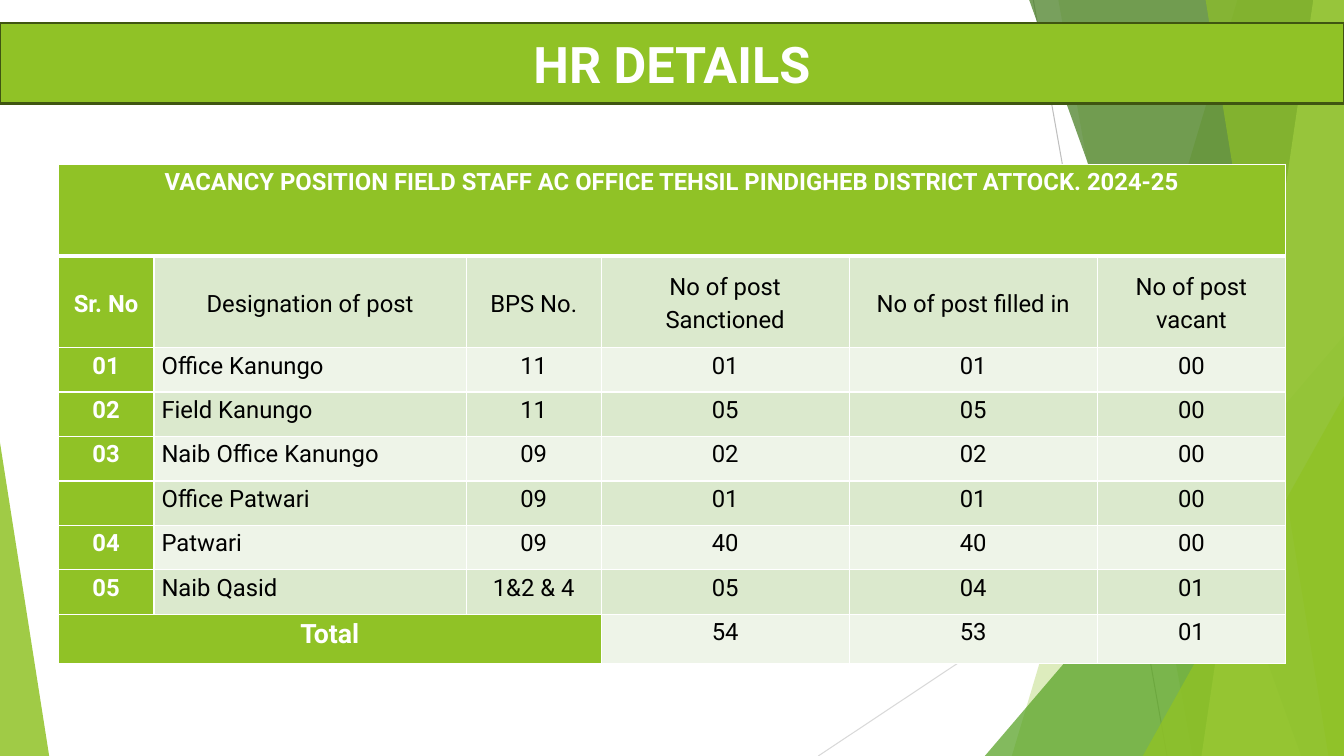
from lxml.etree import SubElement
from pptx import Presentation
from pptx.dml.color import RGBColor
from pptx.enum.shapes import MSO_CONNECTOR, MSO_SHAPE
from pptx.enum.text import MSO_ANCHOR as Anchor, MSO_AUTO_SIZE, PP_ALIGN as Align
from pptx.oxml import parse_xml
from pptx.oxml.ns import nsdecls, qn
from pptx.util import Cm, Pt

COLORS = {
    "green": "90C226", "leaf": "54A021", "forest": "3F7819", "lime": "C0E474",
    "outline": "3F5511", "band": "DBE9CD", "pale_band": "EEF4E8",
    "ray": "BFBFBF", "pale_ray": "D9D9D9", "white": "FFFFFF", "black": "000000",
}
FONT = "Roboto"
SLIDE_W, SLIDE_H = 33.87, 19.05

COLUMN_WIDTHS = [2.41, 7.87, 3.4, 6.25, 6.25, 4.75]
ROW_HEIGHTS = [2.31, 2.31] + [1.12] * 6 + [1.24]
HEADING = "VACANCY POSITION FIELD STAFF AC OFFICE TEHSIL PINDIGHEB DISTRICT ATTOCK. 2024-25"
VACANCIES = [
    [HEADING, "", "", "", "", ""],
    ["Sr. No", "Designation of post", "BPS No.", "No of post Sanctioned",
     "No of post filled in", "No of post vacant"],
    ["01", "Office Kanungo", "11", "01", "01", "00"],
    ["02", "Field Kanungo", "11", "05", "05", "00"],
    ["03", "Naib Office Kanungo", "09", "02", "02", "00"],
    ["", "Office Patwari", "09", "01", "01", "00"],
    ["04", "Patwari", "09", "40", "40", "00"],
    ["05", "Naib Qasid", "1&2 & 4", "05", "04", "01"],
    ["Total", "", "", "54", "53", "01"],
]
TOTAL_ROW = len(VACANCIES) - 1


def rgb(color):
    return RGBColor.from_string(COLORS[color])


def write(frame, text, size=17, color="black", bold=False, align=Align.CENTER,
          spacing=1.0, after=0):
    paragraph = frame.paragraphs[0]
    paragraph.alignment = align
    paragraph.line_spacing = spacing
    paragraph.space_before = Pt(0)
    paragraph.space_after = Pt(after)
    run = paragraph.add_run()
    run.text = text
    run.font.name = FONT
    run.font.size = Pt(size)
    run.font.bold = bold
    run.font.color.rgb = rgb(color)


def tint(shape, color, opacity):
    """Fill a shape with a see-through colour; opacity is in percent."""
    shape.shadow.inherit = False
    shape.fill.solid()
    shape.fill.fore_color.rgb = rgb(color)
    fill_color = shape._element.spPr.find(f".//{qn('a:srgbClr')}")
    SubElement(fill_color, qn("a:alpha")).set("val", str(opacity * 1000))
    shape.line.fill.background()


def add_ray(shapes, x1, y1, x2, y2, color):
    ray = shapes.add_connector(MSO_CONNECTOR.STRAIGHT, Cm(x1), Cm(y1), Cm(x2), Cm(y2))
    ray.line.color.rgb = rgb(color)
    ray.line.width = Pt(0.75)
    SubElement(ray._element.spPr, qn("a:effectLst"))


def add_panel(shapes, top_x, bottom_x, color, opacity):
    """Add a full-height panel with a slanted left edge, flush with the right side."""
    outline = shapes.build_freeform(Cm(top_x), Cm(-0.02))
    corners = [(SLIDE_W, -0.02), (SLIDE_W, SLIDE_H), (bottom_x, SLIDE_H)]
    outline.add_line_segments([(Cm(x), Cm(y)) for x, y in corners])
    tint(outline.convert_to_shape(), color, opacity)


def add_corner(shapes, left, top, width, apex, color, opacity):
    """Add a right triangle that stands on the bottom edge."""
    corner = shapes.add_shape(MSO_SHAPE.ISOSCELES_TRIANGLE, Cm(left), Cm(top),
                              Cm(width), Cm(SLIDE_H - top))
    corner.adjustments[0] = apex
    tint(corner, color, opacity)


def add_backdrop(shapes):
    add_ray(shapes, 26.04, 0, 29.41, SLIDE_H, "ray")
    add_ray(shapes, SLIDE_W, 10.24, 20.62, SLIDE_H, "pale_ray")
    add_panel(shapes, 31.19, 25.5, "green", 30)
    add_panel(shapes, 26.67, 30.05, "green", 20)
    add_corner(shapes, 24.82, 8.46, 9.05, 1, "leaf", 72)
    add_panel(shapes, 25.93, 32.79, "forest", 70)
    add_panel(shapes, 33.1, 30.28, "lime", 70)
    add_panel(shapes, 30.38, 33.48, "green", 65)
    add_corner(shapes, 28.8, 9.98, 5.07, 1, "green", 80)
    add_corner(shapes, 0, 11.15, 1.24, 0, "green", 85)


def place_title(shapes):
    """Turn the title placeholder into a banner in front of the backdrop."""
    title = shapes.title
    title.left, title.top, title.width, title.height = Cm(0), Cm(0.58), Cm(SLIDE_W), Cm(2.03)
    title.fill.solid()
    title.fill.fore_color.rgb = rgb("green")
    title.line.color.rgb = rgb("outline")
    title.line.width = Pt(1.5)
    title.text_frame.auto_size = MSO_AUTO_SIZE.NONE
    title.text_frame.vertical_anchor = Anchor.MIDDLE
    write(title.text_frame, "HR DETAILS", size=36, color="white", bold=True)
    shapes._spTree.append(title._element)


def set_borders(cell, **widths):
    properties = cell._tc.get_or_add_tcPr()
    for index, side in enumerate("LRTB"):
        width = Pt(widths.get(side, 1))
        properties.insert(index, parse_xml(
            f'<a:ln{side} {nsdecls("a")} w="{width}"><a:solidFill>'
            f'<a:srgbClr val="{COLORS["white"]}"/></a:solidFill></a:ln{side}>'))


def format_cell(cell, row, column, text):
    is_label = row == 0 or column == 0 or (row == TOTAL_ROW and column < 3)
    band = "band" if row % 2 else "pale_band"
    cell.fill.solid()
    cell.fill.fore_color.rgb = rgb("green" if is_label else band)
    set_borders(cell, T=3 if row == 1 else 1, B=3 if row == 0 else 1)
    cell.margin_left = cell.margin_right = Cm(0.19)
    cell.margin_top = cell.margin_bottom = 0
    cell.vertical_anchor = Anchor.MIDDLE if row == 1 else Anchor.TOP
    if text:
        write(cell.text_frame, text, size=19 if text == "Total" else 17,
              color="white" if is_label else "black", bold=is_label,
              align=Align.LEFT if column == 1 and row > 1 else Align.CENTER,
              spacing=1.15, after=10)


def add_vacancy_table(shapes):
    table = shapes.add_table(len(ROW_HEIGHTS), len(COLUMN_WIDTHS), Cm(1.47), Cm(4.14),
                             Cm(sum(COLUMN_WIDTHS)), Cm(sum(ROW_HEIGHTS))).table
    table.first_row = table.horz_banding = False
    for column, width in zip(table.columns, COLUMN_WIDTHS):
        column.width = Cm(width)
    for row, height in zip(table.rows, ROW_HEIGHTS):
        row.height = Cm(height)
    table.cell(0, 0).merge(table.cell(0, 5))
    table.cell(TOTAL_ROW, 0).merge(table.cell(TOTAL_ROW, 2))
    for row, texts in enumerate(VACANCIES):
        for column, text in enumerate(texts):
            format_cell(table.cell(row, column), row, column, text)


def main():
    deck = Presentation()
    deck.slide_width, deck.slide_height = Cm(SLIDE_W), Cm(SLIDE_H)
    shapes = deck.slides.add_slide(deck.slide_layouts[5]).shapes
    add_backdrop(shapes)
    place_title(shapes)
    add_vacancy_table(shapes)
    deck.save("out.pptx")


if __name__ == "__main__":
    main()
